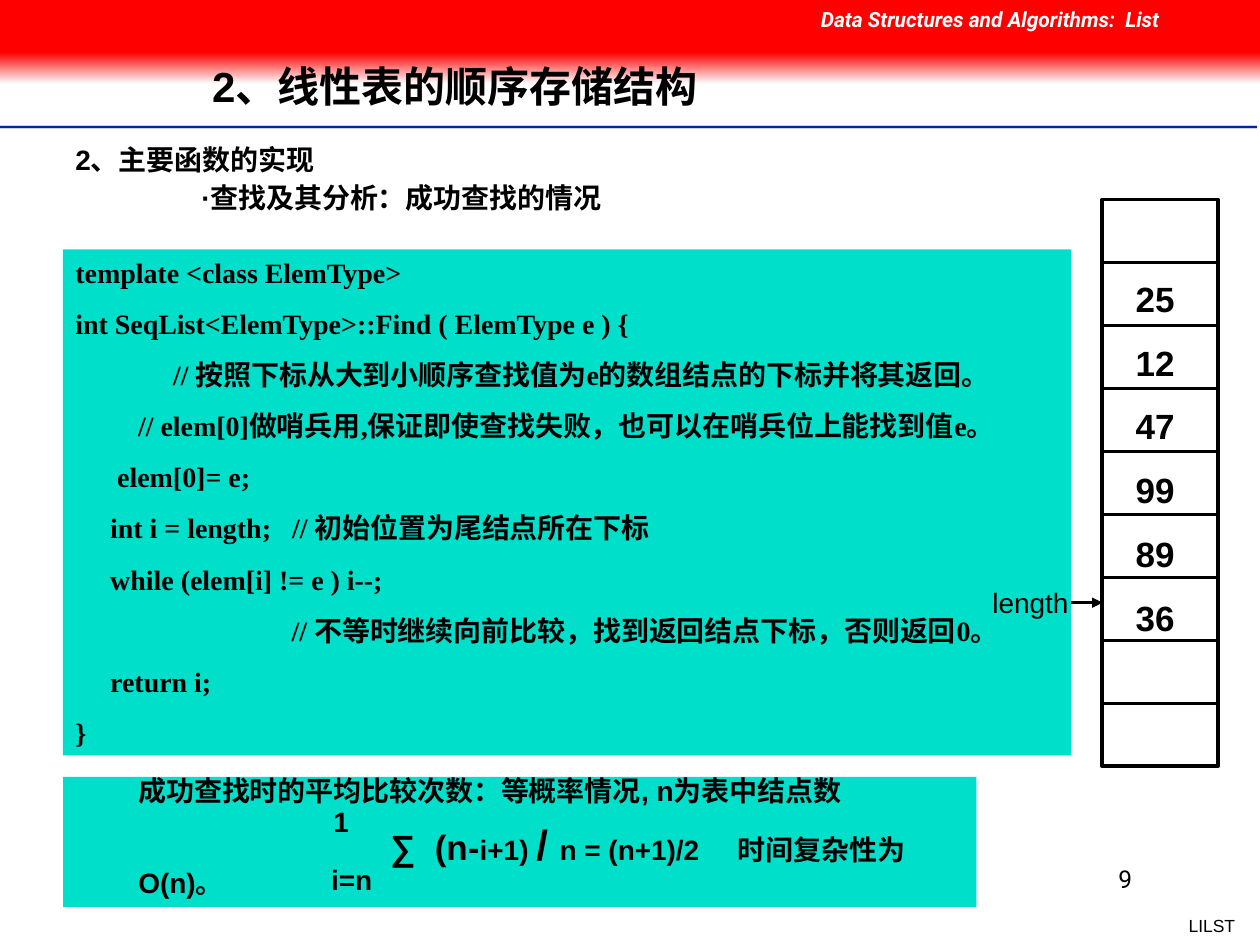
from lxml import etree
from pptx import Presentation
from pptx.dml.color import RGBColor
from pptx.enum.shapes import MSO_CONNECTOR, MSO_SHAPE
from pptx.enum.text import MSO_ANCHOR, PP_ALIGN
from pptx.oxml.ns import qn
from pptx.util import Inches, Pt

LEFT, CENTER, RIGHT = PP_ALIGN.LEFT, PP_ALIGN.CENTER, PP_ALIGN.RIGHT
TOP, MIDDLE = MSO_ANCHOR.TOP, MSO_ANCHOR.MIDDLE
RECTANGLE = MSO_SHAPE.RECTANGLE
STRAIGHT = MSO_CONNECTOR.STRAIGHT
TITLE_ONLY = 5
RIGHT_SIDE = 3

COLUMNS, ROWS = 120, 90
TEAL, BLACK, WHITE, RED = "00DFCA", "000000", "FFFFFF", "FF0000"
CJK_FONT = "Noto Sans CJK SC"

CODE = [
    "template <class ElemType>",
    "int SeqList<ElemType>::Find ( ElemType e ) {",
    "              // 按照下标从大到小顺序查找值为e的数组结点的下标并将其返回。",
    "         // elem[0]做哨兵用,保证即使查找失败，也可以在哨兵位上能找到值e。",
    "      elem[0]= e;",
    "     int i = length;   // 初始位置为尾结点所在下标",
    "     while (elem[i] != e ) i--;",
    "                               // 不等时继续向前比较，找到返回结点下标，否则返回0。",
    "     return i;",
    "}",
]
VALUES = ["25", "12", "47", "99", "89", "36"]


def color(hex_string):
    return RGBColor.from_string(hex_string)


def grid(units):
    """Length of a number of grid units; columns and rows are equally large."""
    return Inches(10 * units / COLUMNS)


def place(box):
    return [grid(value) for value in box]


def write(shape, paragraphs, size=16, font="Arial", fill=BLACK, bold=True,
          italic=False, align=LEFT, anchor=TOP, before=10, indent=0,
          first_lines=(), spacing=()):
    """Fill a shape; a paragraph is a string or a list of (text, size) runs."""
    frame = shape.text_frame
    frame.word_wrap = True
    frame.vertical_anchor = anchor
    for index, content in enumerate(paragraphs):
        paragraph = frame.paragraphs[0] if index == 0 else frame.add_paragraph()
        if indent:
            properties = paragraph._p.get_or_add_pPr()
            properties.set("marL", str(Inches(indent)))
            first_line = first_lines[index] if first_lines else 0
            properties.set("indent", str(Inches(first_line)))
        paragraph.alignment = align
        paragraph.space_before = Pt(before if index else 0)
        if spacing:
            paragraph.line_spacing = spacing[index]
        runs = [(content, size)] if isinstance(content, str) else content
        for text, run_size in runs:
            run = paragraph.add_run()
            run.text = text
            run.font.size = Pt(run_size)
            run.font.bold = bold
            run.font.italic = italic
            run.font.color.rgb = color(fill)
            run.font.name = font
            etree.SubElement(run._r.get_or_add_rPr(), qn("a:ea"), typeface=CJK_FONT)
    return shape


def add_text(slide, box, *paragraphs, **formatting):
    return write(slide.shapes.add_textbox(*place(box)), paragraphs, **formatting)


def add_rectangle(slide, box, fill, line_width=0):
    shape = slide.shapes.add_shape(RECTANGLE, *place(box))
    shape.shadow.inherit = False
    shape.fill.solid()
    shape.fill.fore_color.rgb = color(fill)
    if line_width:
        shape.line.color.rgb = color(BLACK)
        shape.line.width = Pt(line_width)
    else:
        shape.line.fill.background()
    return shape


def add_line(slide, start, end, line_color=BLACK, width=2.25, arrow=False):
    line = slide.shapes.add_connector(STRAIGHT, *place(start), *place(end))
    line.line.color.rgb = color(line_color)
    line.line.width = Pt(width)
    if arrow:
        etree.SubElement(line.line._get_or_add_ln(), qn("a:tailEnd"), type="triangle")
    etree.SubElement(line._element.spPr, qn("a:effectLst"))
    return line


def draw_header(slide, box):
    left, top, width, height = box
    band = height * 5 / 8
    fade = add_rectangle(slide, (left, top + band, width, height - band), WHITE)
    fade.fill.gradient()
    fade.fill.gradient_angle = 270
    for stop, (position, stop_color) in zip(fade.fill.gradient_stops, [(0, RED), (1, WHITE)]):
        stop.position = position
        stop.color.rgb = color(stop_color)
    add_rectangle(slide, (left, top, width, band), RED)
    add_text(slide, (left + 77, top, width - 77, 3.6),
             "Data Structures and Algorithms:  List",
             size=12, font="Roboto", fill=WHITE, italic=True)


def draw_title(slide, box):
    """Place the title in front of the header, with its rule below."""
    left, top, width, height = box
    for offset, line_color, line_width in [(0, "CECECE", 2), (0, "00279F", 1), (0.24, WHITE, 1)]:
        row = top + height + offset
        add_line(slide, (0, row), (COLUMNS - 0.24, row), line_color, line_width)
    title = slide.shapes.title
    title.left, title.top, title.width, title.height = place((left, top, width, 8.9))
    write(title, ["2、线性表的顺序存储结构"], size=24, anchor=MIDDLE, spacing=[0.9])
    slide.shapes._spTree.append(title._element)


def draw_headings(slide, box):
    left, top, width, height = box
    half = height / 2
    add_text(slide, (left, top, width, half), "2、主要函数的实现", indent=0.5)
    add_text(slide, (left, top + 3.6, width, half),
             "·查找及其分析：成功查找的情况", indent=1.5)


def draw_code(slide, box):
    write(add_rectangle(slide, box, TEAL), CODE, font="Times New Roman")


def draw_analysis(slide, box):
    left, top, _, _ = box
    formula = [("∑  (n-", 20), ("i+1) ", 16), ("/ ", 24), ("n = (n+1)/2", 16),
               ("　", 22), ("时间复杂性为 O(n)。", 16)]
    write(add_rectangle(slide, box, TEAL),
          ["成功查找时的平均比较次数：等概率情况, n为表中结点数", formula],
          indent=0.5, first_lines=[0, 2], spacing=[0.7, 0.9])
    add_text(slide, (left + 24, top + 7.6, 7, 4.4), "i=n", align=CENTER)
    add_text(slide, (left + 23, top + 2, 7, 4.4), "1", align=CENTER)


def draw_array(slide, box, cell_count=9):
    left, top, width, height = box
    cell = height / cell_count
    add_rectangle(slide, box, WHITE, 2.25)
    for index in range(1, cell_count):
        row = top + index * cell
        add_line(slide, (left, row), (left + width, row))
    add_text(slide, (left, top + cell + 0.8, width - 1, 35.6), *VALUES,
             size=20, align=CENTER, before=12.5)
    row = top + 6.4 * cell
    label = add_text(slide, (left - 18, row - 2.2, 15, 4.4), "length",
                     bold=False, align=RIGHT)
    label.text_frame.margin_right = Inches(0.02)
    arrow = add_line(slide, (left - 3, row), (left, row), width=1.5, arrow=True)
    arrow.begin_connect(label, RIGHT_SIDE)


def draw_footer(slide, box):
    left, top, width, height = box
    add_text(slide, (left, top, 23, 6), "9", size=14, font="Roboto", bold=False, align=RIGHT)
    add_text(slide, (left + width - 10, top + height - 3.3, 10, 3.3), "LILST",
             size=10, bold=False, align=RIGHT)


def main():
    presentation = Presentation()
    presentation.slide_width, presentation.slide_height = grid(COLUMNS), grid(ROWS)
    slide = presentation.slides.add_slide(presentation.slide_layouts[TITLE_ONLY])
    draw_header(slide, (0, 0, COLUMNS, 8))
    draw_title(slide, (19, 4, 90.6, 8.1))
    draw_headings(slide, (0, 13, 71, 8.8))
    draw_code(slide, (6, 23.75, 96, 48.2))
    draw_analysis(slide, (6, 74, 87, 12.4))
    draw_array(slide, (105, 19, 11, 54))
    draw_footer(slide, (86, 81.7, 32.8, 8.2))
    presentation.save("out.pptx")


if __name__ == "__main__":
    main()
